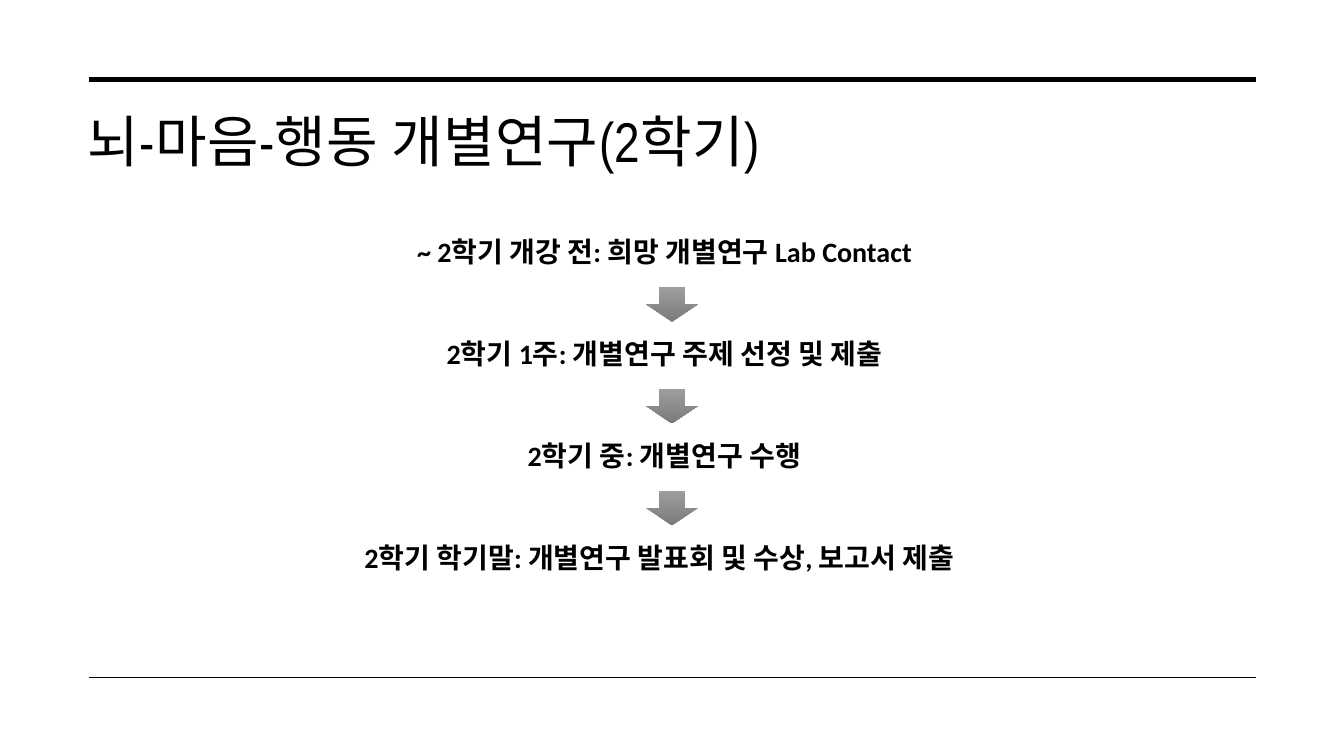
import pptx
import pptx.dml.color
import pptx.enum.shapes
import pptx.enum.text
import pptx.util
from dataclasses import dataclass
from pptx.util import Inches

TITLE = "뇌-마음-행동 개별연구(2학기)"
STEPS = [
    ("~ 2학기 개강 전: 희망 개별연구 Lab Contact", 0.8),
    ("2학기 1주: 개별연구 주제 선정 및 제출", 0.8),
    ("2학기 중: 개별연구 수행", 0.8),
    ("2학기 학기말: 개별연구 발표회 및 수상, 보고서 제출", 0.75),
]
RULES = [(0.79, 3.5), (6.72, 1)]
RULE_LEFT, RULE_RIGHT = 0.88, 12.46
STEP_TOP, STEP_PITCH = 2.28, 1.01
STEP_WIDTH, STEP_HEIGHT = 11.58, 0.44
ARROW_LEFT, ARROW_OFFSET = 6.41, 0.57
ARROW_WIDTH, ARROW_HEIGHT = 0.51, 0.34


@dataclass(frozen=True)
class Theme:
    ink: str = "000000"
    arrow_colors: tuple = ("9D9D9D", "7C7C7C")
    title_font: str = "Arial Narrow"
    title_size: int = 40
    title_spacing: int = 30
    step_font: str = "Calibri"
    step_size: int = 20


THEME = Theme()


def color(value):
    return pptx.dml.color.RGBColor.from_string(value)


def add_rule(page, top, width):
    rule = page.shapes.add_connector(
        pptx.enum.shapes.MSO_CONNECTOR.STRAIGHT,
        Inches(RULE_LEFT), Inches(top), Inches(RULE_RIGHT), Inches(top))
    rule.line.color.rgb = color(THEME.ink)
    rule.line.width = pptx.util.Pt(width)
    rule._element.spPr.append(pptx.oxml.parse_xml(
        '<a:effectLst xmlns:a="http://schemas.openxmlformats.org/drawingml/2006/main"/>'))


def add_text(page, text, left, top, width, height, font, size, bold, align):
    box = page.shapes.add_textbox(
        Inches(left), Inches(top), Inches(width), Inches(height))
    box.text_frame.word_wrap = True
    para = box.text_frame.paragraphs[0]
    para.text = text
    para.alignment = align
    para.font.name = font
    para.font.size = pptx.util.Pt(size)
    para.font.bold = bold
    para.font.color.rgb = color(THEME.ink)
    return para


def add_arrow(page, top):
    arrow = page.shapes.add_shape(
        pptx.enum.shapes.MSO_SHAPE.DOWN_ARROW,
        Inches(ARROW_LEFT), Inches(top),
        Inches(ARROW_WIDTH), Inches(ARROW_HEIGHT))
    arrow.shadow.inherit = False
    arrow.line.fill.background()
    arrow.fill.gradient()
    arrow.fill.gradient_angle = 270
    for stop, value in zip(arrow.fill.gradient_stops, THEME.arrow_colors):
        stop.color.rgb = color(value)


def main():
    deck = pptx.Presentation()
    deck.slide_width, deck.slide_height = Inches(13.33), Inches(7.5)
    page = deck.slides.add_slide(deck.slide_layouts[6])
    align = pptx.enum.text.PP_ALIGN

    for top, width in RULES:
        add_rule(page, top, width)

    title = add_text(page, TITLE, 0.77, 1.01, 11.69, 1.5, THEME.title_font,
                     THEME.title_size, False, align.LEFT)
    title.runs[0].font._element.set("spc", str(THEME.title_spacing))

    for index, (text, left) in enumerate(STEPS):
        top = STEP_TOP + index * STEP_PITCH
        add_text(page, text, left, top, STEP_WIDTH, STEP_HEIGHT,
                 THEME.step_font, THEME.step_size, True, align.CENTER)
        if index < len(STEPS) - 1:
            add_arrow(page, top + ARROW_OFFSET)

    deck.save("out.pptx")


if __name__ == "__main__":
    main()
